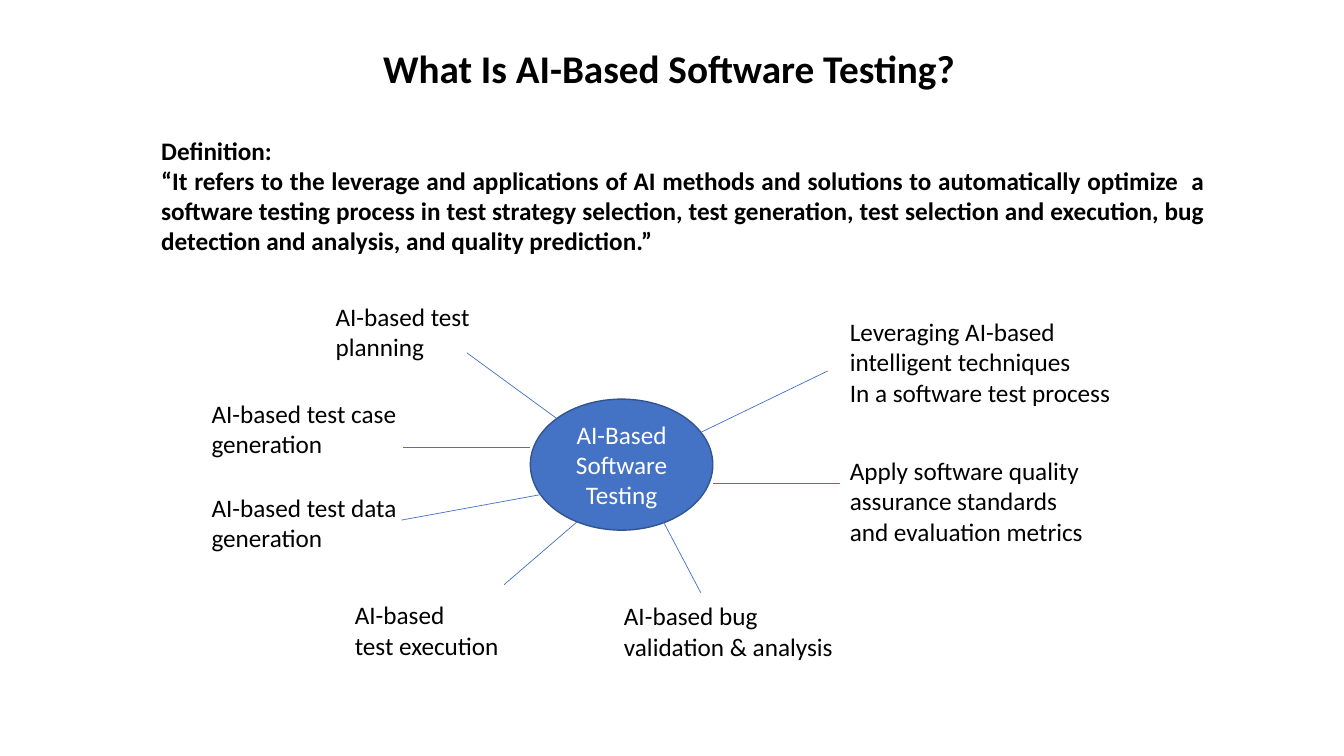
from lxml import etree
from pptx import Presentation
from pptx import util as u
from pptx.dml.color import RGBColor
from pptx.enum import shapes, text
from pptx.oxml.ns import qn

PX = 9144
FONT = "Calibri"
COLORS = {"ink": "000000", "paper": "FFFFFF", "accent": "4472C4", "edge": "325491"}
TITLE_BOX = (370, 39, 657, 57)
DEFINITION_BOX = (150, 129, 1055, 131)
MAP_BOX = (200, 294, 928, 368)

DEFINITION = [
    "Definition:",
    "“It refers to the leverage and applications of AI methods and solutions to "
    "automatically optimize  a software testing process in test strategy selection, "
    "test generation, test selection and execution, bug detection and analysis, and "
    "quality prediction.”",
]
HUB = (326, 102, 181, 130)
TOPICS = [
    (["Leveraging AI-based", "intelligent techniques", "In a software test process"],
     (633, 15, 295, 101), (495, 135, 621, 74)),
    (["Apply software quality", "assurance standards", "and evaluation metrics"],
     (633, 153, 268, 101), (507, 186, 633, 186)),
    (["AI-based test", "planning"], (123, 0, 167, 71), (263, 56, 352, 121)),
    (["AI-based test case", "generation"], (0, 96, 228, 71), (200, 150, 326, 150)),
    (["AI-based test data", "generation"], (0, 189, 228, 71), (198, 222, 340, 196)),
    (["AI-based", "test execution"], (142, 296, 171, 71), (372, 224, 300, 286)),
    (["AI-based bug", "validation & analysis"], (409, 297, 240, 71), (454, 216, 495, 294)),
]


def px(*lengths):
    return [u.Emu(length * PX) for length in lengths]


def color(name):
    return RGBColor.from_string(COLORS[name])


def write(shape, lines, size=18, ink="ink", bold=False,
          align=text.PP_ALIGN.LEFT, anchor=text.MSO_ANCHOR.TOP):
    frame = shape.text_frame
    frame.word_wrap = True
    frame.auto_size = text.MSO_AUTO_SIZE.NONE
    frame.vertical_anchor = anchor
    frame.text = "\n".join(lines)
    for para in frame.paragraphs:
        para.alignment = align
        para.font.name = FONT
        para.font.size = u.Pt(size)
        para.font.bold = bold
        para.font.color.rgb = color(ink)


def add_title(page, box):
    title = page.shapes.title
    title.left, title.top, title.width, title.height = px(*box)
    write(title, ["What Is AI-Based Software Testing?"], size=28, bold=True)


def add_definition(page, box):
    write(page.shapes.add_textbox(*px(*box)), DEFINITION,
          bold=True, align=text.PP_ALIGN.JUSTIFY)


def add_spoke(page, ends):
    spoke = page.shapes.add_connector(shapes.MSO_CONNECTOR.STRAIGHT, *px(*ends))
    spoke.line.color.rgb = color("accent")
    spoke.line.width = u.Pt(0.5)
    etree.SubElement(spoke._element.spPr, qn("a:effectLst"))


def add_hub(page, box):
    hub = page.shapes.add_shape(shapes.MSO_SHAPE.OVAL, *px(*box))
    hub.shadow.inherit = False
    hub.fill.solid()
    hub.fill.fore_color.rgb = color("accent")
    hub.line.color.rgb = color("edge")
    hub.line.width = u.Pt(1)
    write(hub, ["AI-Based Software Testing"], ink="paper",
          align=text.PP_ALIGN.CENTER, anchor=text.MSO_ANCHOR.MIDDLE)


def add_mind_map(page, box):
    left, top = box[:2]
    add_hub(page, (left + HUB[0], top + HUB[1], *HUB[2:]))
    for lines, (x, y, width, height), (x1, y1, x2, y2) in TOPICS:
        label = page.shapes.add_textbox(*px(left + x, top + y, width, height))
        write(label, lines)
        add_spoke(page, (left + x1, top + y1, left + x2, top + y2))


def main():
    deck = Presentation()
    deck.slide_width, deck.slide_height = px(1333, 750)
    page = deck.slides.add_slide(deck.slide_layouts[5])
    page.background.fill.solid()
    page.background.fill.fore_color.rgb = color("paper")
    add_title(page, TITLE_BOX)
    add_definition(page, DEFINITION_BOX)
    add_mind_map(page, MAP_BOX)
    deck.save("out.pptx")


if __name__ == "__main__":
    main()
